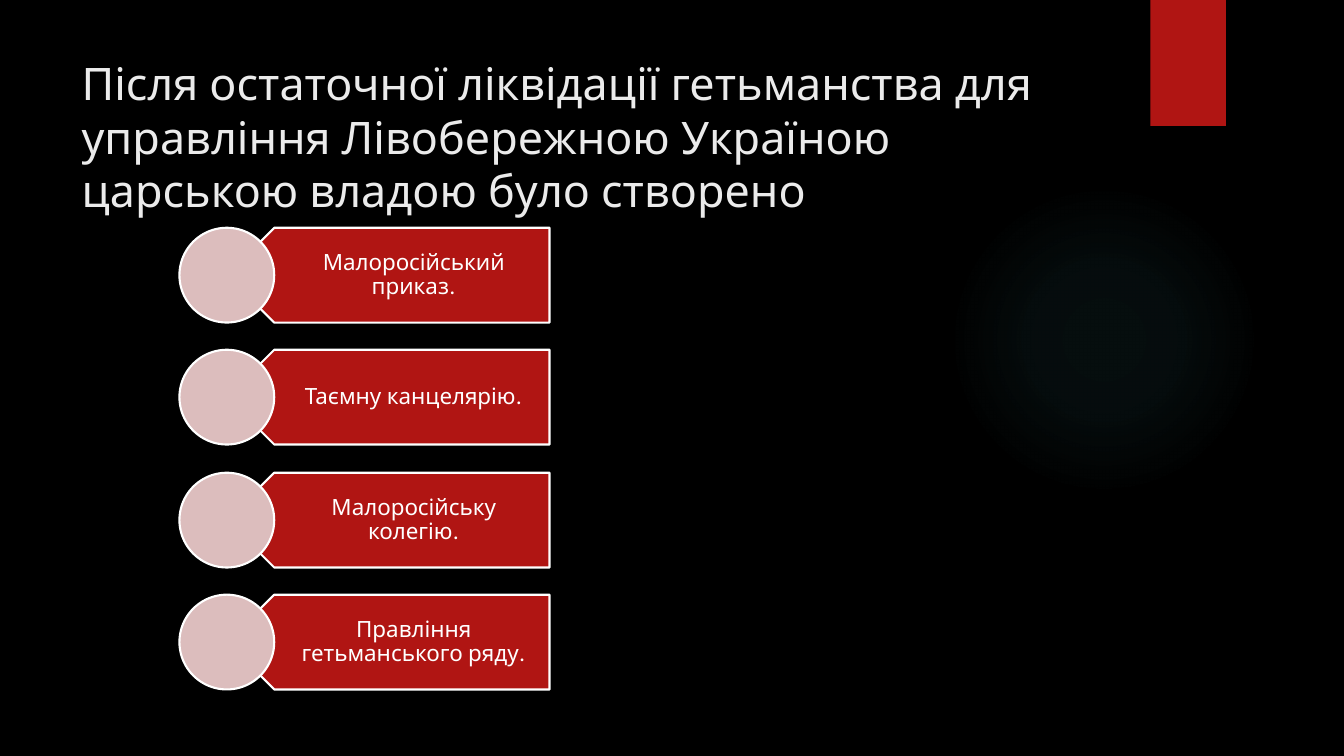
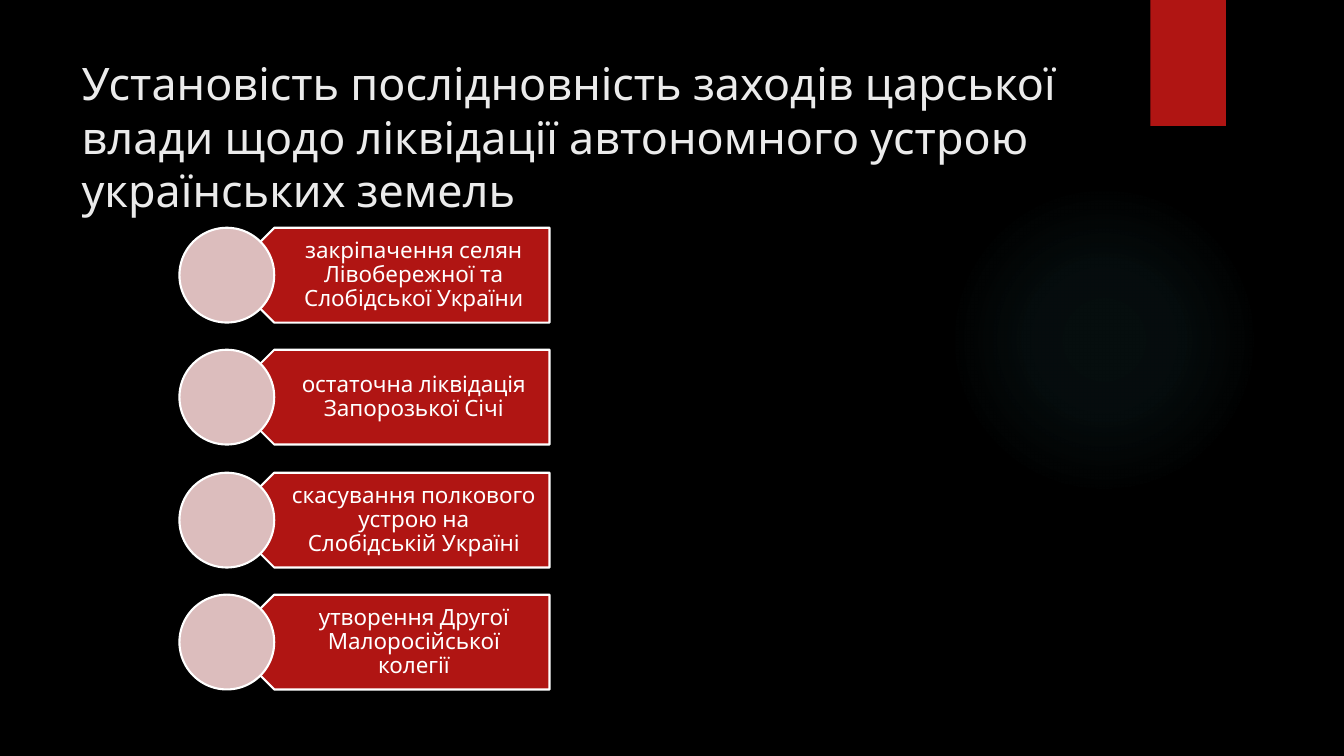
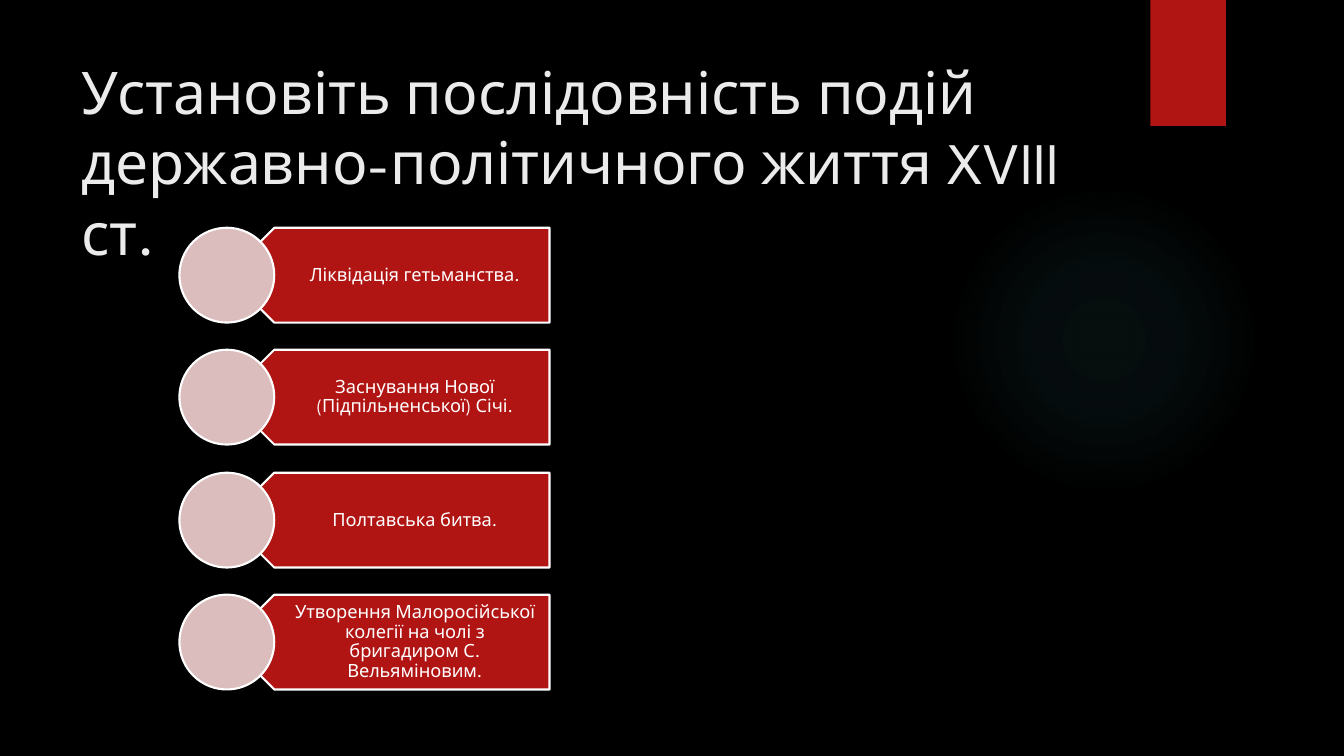
from pptx import Presentation
from pptx.dml.color import RGBColor
from pptx.enum.shapes import MSO_SHAPE
from pptx.enum.text import MSO_ANCHOR, MSO_AUTO_SIZE, PP_ALIGN
from pptx.oxml import parse_xml
from pptx.oxml.ns import nsdecls
from pptx.util import Pt

# Shared look: 100 px to the inch
EMU_PER_PX = 9144
FONT = "League Spartan"
COLORS = {
    "background": "000000",
    "red": "B01513",
    "pink": "DCBDBD",
    "white": "FFFFFF",
    "title": "EBEBEB",
    "glow": "50B9C1",
}
GLOW_STOPS = [(0, 7), (36, 6), (69, 0), (100, 0)]  # position %, opacity %

# List rows
ROW_TOP, ROW_SPAN, ROW_COUNT = 226, 364, 4
ROW_HEIGHT = 94

# Label formats: size in points, margins in px
LARGE_LABEL = {"size": 16, "margins": (41, 7, 12, 7)}
SMALL_LABEL = {"size": 13, "margins": (41, 5, 10, 5)}

SLIDES = [
    {
        "title": "Після остаточної ліквідації гетьманства для управління "
                 "Лівобережною Україною царською владою було створено",
        "title_size": 32,
        "label": LARGE_LABEL,
        "items": [
            "Малоросійський приказ.",
            "Таємну канцелярію.",
            "Малоросійську колегію.",
            "Правління гетьманського ряду.",
        ],
    },
    {
        "title": "Установість послідновність заходів царської влади щодо "
                 "ліквідації автономного устрою українських земель",
        "title_size": 32,
        "label": LARGE_LABEL,
        "items": [
            "закріпачення селян Лівобережної та Слобідської України",
            "остаточна ліквідація Запорозької Січі",
            "скасування полкового устрою на Слобідській Україні",
            "утворення Другої Малоросійської колегії",
        ],
    },
    {
        "title": "Установіть послідовність подій державно-політичного "
                 "життя XVIII ст.",
        "title_size": 42,
        "label": SMALL_LABEL,
        "items": [
            "Ліквідація гетьманства.",
            "Заснування Нової (Підпільненської) Січі.",
            "Полтавська битва.",
            "Утворення Малоросійської колегії на чолі з бригадиром "
            "С. Вельяміновим.",
        ],
    },
]


def px(*lengths):
    return [length * EMU_PER_PX for length in lengths]


def color(name):
    return RGBColor.from_string(COLORS[name])


def set_attributes(target, values):
    for name, value in values.items():
        setattr(target, name, value)


def write_text(frame, text, size, color_name, frame_format, para_format):
    set_attributes(frame, {"word_wrap": True,
                           "auto_size": MSO_AUTO_SIZE.NONE, **frame_format})
    para = frame.paragraphs[0]
    set_attributes(para, para_format)
    span = para.add_run()
    span.text = text
    set_attributes(span.font, {"name": FONT, "size": Pt(size)})
    span.font.color.rgb = color(color_name)


def add_box(page, preset, place, fill, line=None):
    box = page.shapes.add_shape(preset, *px(*place))
    box.shadow.inherit = False
    box.fill.solid()
    box.fill.fore_color.rgb = color(fill)
    if line:
        box.line.color.rgb = color(line)
        box.line.width = Pt(1.5)
    else:
        box.line.fill.background()
    return box


def add_glow(page):
    glow = add_box(page, MSO_SHAPE.OVAL, (941, 183, 308, 308), "glow")
    stops = "".join(
        f'<a:gs pos="{position * 1000}"><a:srgbClr val="{COLORS["glow"]}">'
        f'<a:alpha val="{opacity * 1000}"/></a:srgbClr></a:gs>'
        for position, opacity in GLOW_STOPS)
    gradient = parse_xml(
        f'<a:gradFill {nsdecls("a")} rotWithShape="1"><a:gsLst>{stops}</a:gsLst>'
        '<a:path path="circle"><a:fillToRect l="50000" t="50000" '
        'r="50000" b="50000"/></a:path></a:gradFill>')
    properties = glow.element.spPr
    solid = properties.find("{*}solidFill")
    properties.replace(solid, gradient)


def add_title(page, text, size):
    title = page.shapes.title
    left, top, width, height = px(71, 50, 1029, 153)
    set_attributes(title, {"left": left, "top": top,
                           "width": width, "height": height})
    write_text(title.text_frame, text, size, "title",
               {"vertical_anchor": MSO_ANCHOR.TOP},
               {"alignment": PP_ALIGN.LEFT})


def add_item(page, top, text, label_format):
    # Arrow pointing left, its label, and the circle over its tip
    arrow = add_box(page, MSO_SHAPE.PENTAGON, (225, top, 320, ROW_HEIGHT),
                    "red", "white")
    arrow.rotation = 180
    label = page.shapes.add_textbox(*px(248, top, 296, ROW_HEIGHT))
    sides = ("margin_left", "margin_top", "margin_right", "margin_bottom")
    margins = dict(zip(sides, px(*label_format["margins"])))
    write_text(label.text_frame, text, label_format["size"], "white",
               {"vertical_anchor": MSO_ANCHOR.MIDDLE, **margins},
               {"alignment": PP_ALIGN.CENTER, "line_spacing": 0.9})
    add_box(page, MSO_SHAPE.OVAL, (178, top, ROW_HEIGHT, ROW_HEIGHT),
            "pink", "white")


def add_page(deck, content):
    page = deck.slides.add_slide(deck.slide_layouts.get_by_name("Title Only"))
    add_glow(page)
    add_box(page, MSO_SHAPE.RECTANGLE, (1141, 0, 75, 125), "red")
    add_title(page, content["title"], content["title_size"])
    for index, text in enumerate(content["items"]):
        top = ROW_TOP + round(index * ROW_SPAN / (ROW_COUNT - 1))
        add_item(page, top, text, content["label"])


def main():
    deck = Presentation()
    deck.slide_width, deck.slide_height = px(1333, 750)
    background = deck.slide_master.background.fill
    background.solid()
    background.fore_color.rgb = color("background")
    for content in SLIDES:
        add_page(deck, content)
    deck.save("out.pptx")


if __name__ == "__main__":
    main()
